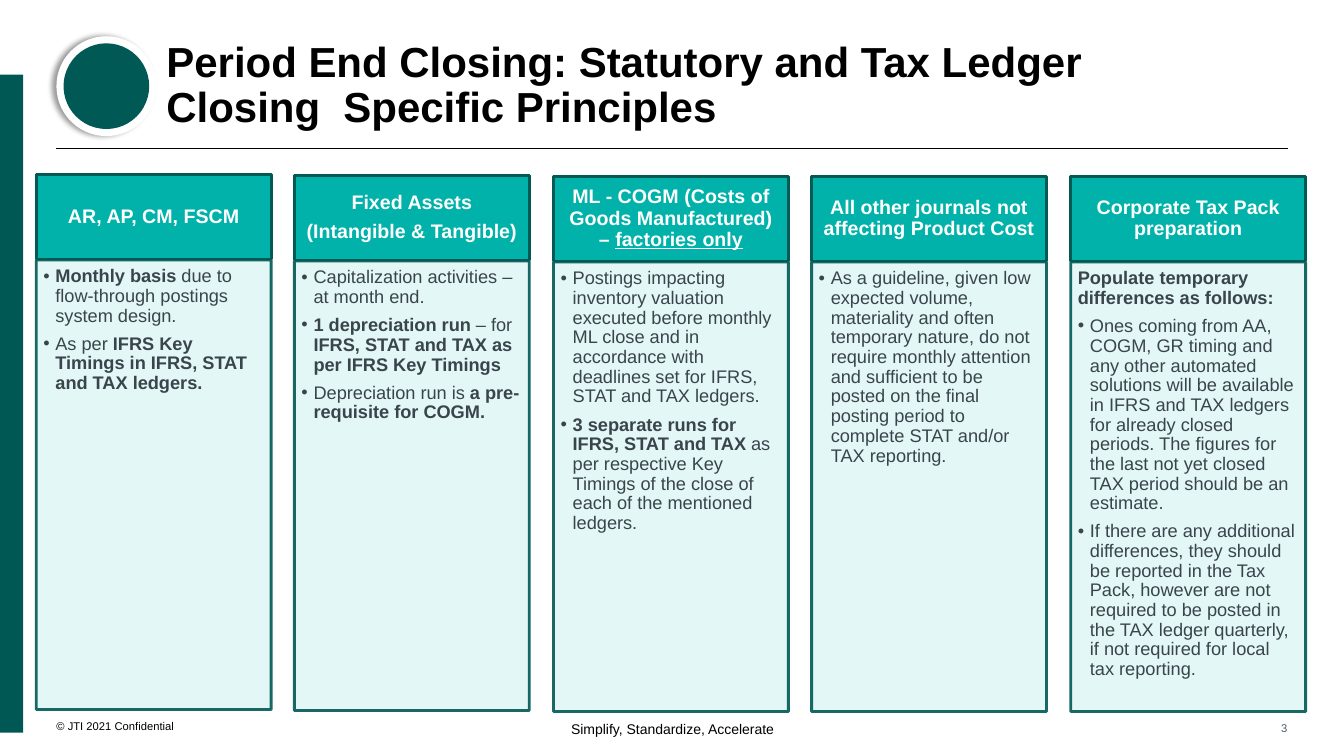
"""Build the slide on closing principles for the statutory and tax ledgers."""
from lxml.etree import SubElement as Sub
from pptx import Presentation
from pptx.dml.color import RGBColor
from pptx.enum.shapes import MSO_CONNECTOR as Conn, MSO_SHAPE as Shape
from pptx.enum.text import MSO_ANCHOR as Anchor, MSO_AUTO_SIZE as Auto, PP_ALIGN as Align
from pptx.oxml.ns import qn
from pptx.util import Emu, Pt

PX = 9144
BLACK = RGBColor(0x00, 0x00, 0x00)
WHITE = RGBColor(0xFF, 0xFF, 0xFF)
GREEN = RGBColor(0x00, 0x59, 0x55)
EDGE = RGBColor(0x00, 0x58, 0x55)
TEAL = RGBColor(0x00, 0xB2, 0xA9)
PALE = RGBColor(0xE3, 0xF7, 0xF7)
SLATE = RGBColor(0x39, 0x45, 0x4B)
GREY = RGBColor(0x4D, 0x5C, 0x65)

HEAD = {"size": Pt(14), "bold": True}
ITEM = {"size": Pt(13), "bold": False}
SMALL = {"size": Pt(8)}

TITLE = "Period End Closing: Statutory and Tax Ledger Closing  Specific Principles"
COLUMNS = [
    (["AR, AP, CM, FSCM"], None, [
        "*Monthly basis *due to flow-through postings system design.",
        "As per *IFRS Key Timings in IFRS, STAT and TAX ledgers.*"]),
    (["Fixed Assets", "(Intangible & Tangible)"], None, [
        "Capitalization activities – at month end.",
        "*1 depreciation run *– for *IFRS, STAT and TAX as per IFRS Key Timings*",
        "Depreciation run is *a pre-requisite for COGM.*"]),
    (["ML - COGM (Costs of Goods Manufactured) – *factories only*"], None, [
        "Postings impacting inventory valuation executed before monthly ML close "
        "and in accordance with deadlines set for IFRS, STAT and TAX ledgers.",
        "*3 separate runs for IFRS, STAT and TAX *as per respective Key Timings "
        "of the close of each of the mentioned ledgers."]),
    (["All other journals not affecting Product Cost"], None, [
        "As a guideline, given low expected volume, materiality and often temporary "
        "nature, do not require monthly attention and sufficient to be posted on the "
        "final posting period to complete STAT and/or TAX reporting."]),
    (["Corporate Tax Pack preparation"], "*Populate temporary differences as follows:*", [
        "Ones coming from AA, COGM, GR timing and any other automated solutions will "
        "be available in IFRS and TAX ledgers for already closed periods. The figures "
        "for the last not yet closed TAX period should be an estimate.",
        "If there are any additional differences, they should be reported in the Tax "
        "Pack, however are not required to be posted in the TAX ledger quarterly, if "
        "not required for local tax reporting."]),
]


def scale(*nums):
    """Turn px into EMU."""
    return [Emu(n * PX) for n in nums]


def frame(shape, pads=(0, 0, 0, 0), anchor=Anchor.TOP):
    """Set up the text frame of a shape and return it."""
    text = shape.text_frame
    names = ("margin_left", "margin_top", "margin_right", "margin_bottom")
    looks = dict(zip(names, scale(*pads)), word_wrap=True,
                 auto_size=Auto.NONE, vertical_anchor=anchor)
    for key, val in looks.items():
        setattr(text, key, val)
    return text


def write(para, words, looks, color, mark="bold"):
    """Write runs, giving the parts between stars the marked style."""
    for num, part in enumerate(words.split("*")):
        if part:
            run = para.add_run()
            run.text = part
            for key, val in {"name": "Arial", **looks}.items():
                setattr(run.font, key, val)
            run.font.color.rgb = color
            if num % 2:
                setattr(run.font, mark, True)


def dot(para):
    """Give a paragraph a hanging bullet."""
    props = para._p.get_or_add_pPr()
    props.set("marL", str(12 * PX))
    props.set("indent", str(-12 * PX))
    Sub(props, qn("a:buFont"), typeface="Arial")
    Sub(props, qn("a:buChar"), char="•")


def plain(slide, kind, box, fill, line=None):
    """Add a filled shape with an optional outline."""
    shape = slide.shapes.add_shape(kind, *scale(*box))
    shape.shadow.inherit = False
    shape.fill.solid()
    shape.fill.fore_color.rgb = fill
    if line is None:
        shape.line.fill.background()
    else:
        shape.line.color.rgb = line
        shape.line.width = Pt(2)
    return shape


def label(slide, box, words, looks, color, align, anchor):
    """Add a one-line text box."""
    text = frame(slide.shapes.add_textbox(*scale(*box)), anchor=anchor)
    para = text.paragraphs[0]
    para.alignment = align
    write(para, words, looks, color)


def badge(slide, left, top, size):
    """Draw the ringed disc with its soft shadow."""
    ring = plain(slide, Shape.OVAL, (left, top, size, size), WHITE)
    effect = ring._element.spPr.find(qn("a:effectLst"))
    shade = Sub(effect, qn("a:outerShdw"), blurRad=str(Pt(4)), dist=str(Pt(3)),
                dir="10800000", algn="r", rotWithShape="0")
    tint = Sub(shade, qn("a:srgbClr"), val="000000")
    Sub(tint, qn("a:alpha"), val="40000")
    inner = size - 14
    plain(slide, Shape.OVAL, (left + 7, top + 7, inner, inner), GREEN)


def header(slide, left, top, width, height):
    """Place the badge, the title and the rule below them."""
    badge(slide, left, top + 13, 99)
    title = slide.shapes.title
    sides = ("left", "top", "width", "height")
    for key, val in zip(sides, scale(left + 109, top, 974, 108)):
        setattr(title, key, val)
    para = frame(title, anchor=Anchor.BOTTOM).paragraphs[0]
    para.alignment = Align.LEFT
    para.line_spacing = 0.9
    write(para, TITLE, {"size": Pt(30), "bold": True}, BLACK)
    low = top + height
    rule = slide.shapes.add_connector(Conn.STRAIGHT, *scale(left, low, left + width, low))
    rule.line.color.rgb = BLACK
    rule.line.width = Pt(0.75)
    Sub(rule._element.spPr, qn("a:effectLst"))


def column(slide, box, heads, lead, items):
    """Place one heading and the panel of points under it."""
    left, top, width, height = box
    cap = plain(slide, Shape.RECTANGLE, (left, top, width, 84), TEAL, GREEN)
    text = frame(cap, (9, 5, 9, 5), Anchor.MIDDLE)
    for num, words in enumerate(heads):
        para = text.add_paragraph() if num else text.paragraphs[0]
        para.alignment = Align.CENTER
        para.line_spacing = 0.9
        para.space_after = Pt(5)
        write(para, words, HEAD, WHITE, "underline")
    panel = plain(slide, Shape.RECTANGLE, (left, top + 85, width, height - 85), PALE, GREEN)
    tint = panel._element.spPr.find(".//" + qn("a:ln")).find(".//" + qn("a:srgbClr"))
    Sub(tint, qn("a:alpha"), val="90000")
    text = frame(panel, (7, 7, 9, 10))
    for num, words in enumerate([lead] * bool(lead) + items):
        para = text.add_paragraph() if num else text.paragraphs[0]
        para.alignment = Align.LEFT
        para.line_spacing = 0.9
        para.space_before = Pt(6 if num else 0)
        if words != lead:
            dot(para)
        write(para, words, ITEM, SLATE)


def footer(slide, left, top, width):
    """Place the notice, the motto and the page number."""
    label(slide, (left, top, 197, 40), "© JTI 2021 Confidential", SMALL, BLACK,
          Align.LEFT, Anchor.BOTTOM)
    label(slide, (left + 458, top + 28, 306, 30), "Simplify, Standardize, Accelerate",
          {"size": Pt(10)}, BLACK, Align.CENTER, Anchor.TOP)
    label(slide, (left + width - 43, top + 2, 43, 40), "3", SMALL, GREY,
          Align.RIGHT, Anchor.BOTTOM)


def main():
    """Build and save the slide."""
    deck = Presentation()
    deck.slide_width, deck.slide_height = scale(1333, 750)
    slide = deck.slides.add_slide(deck.slide_layouts[5])
    plain(slide, Shape.RECTANGLE, (0, 74, 23, 653), EDGE)
    header(slide, 56, 23, 1221, 124)
    for num, parts in enumerate(COLUMNS):
        left, top = 36 + num * 1026 // 4, min(173 + num, 175)
        column(slide, (left, top, 233, 531), *parts)
    footer(slide, 56, 687, 1221)
    deck.save("out.pptx")


if __name__ == "__main__":
    main()
